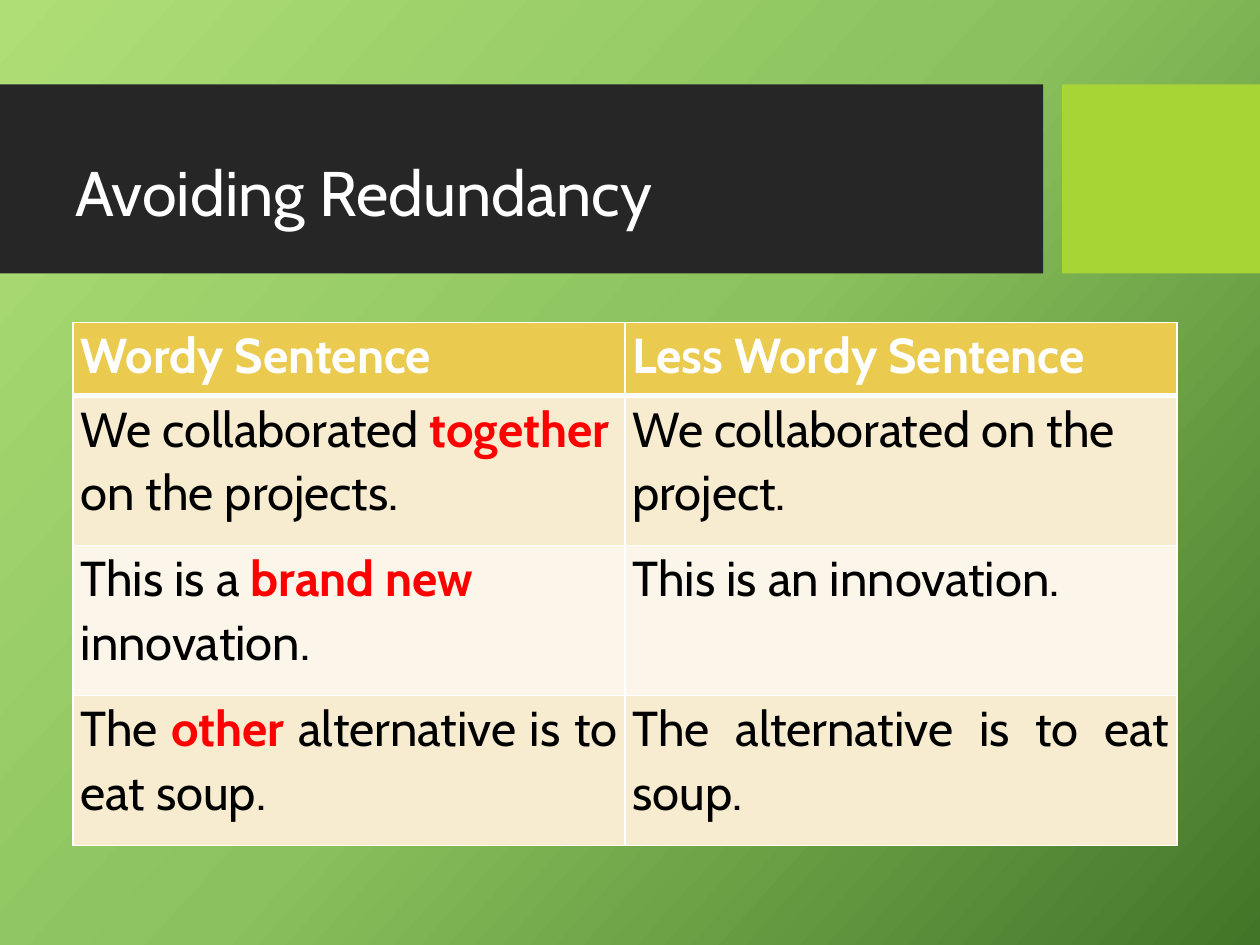
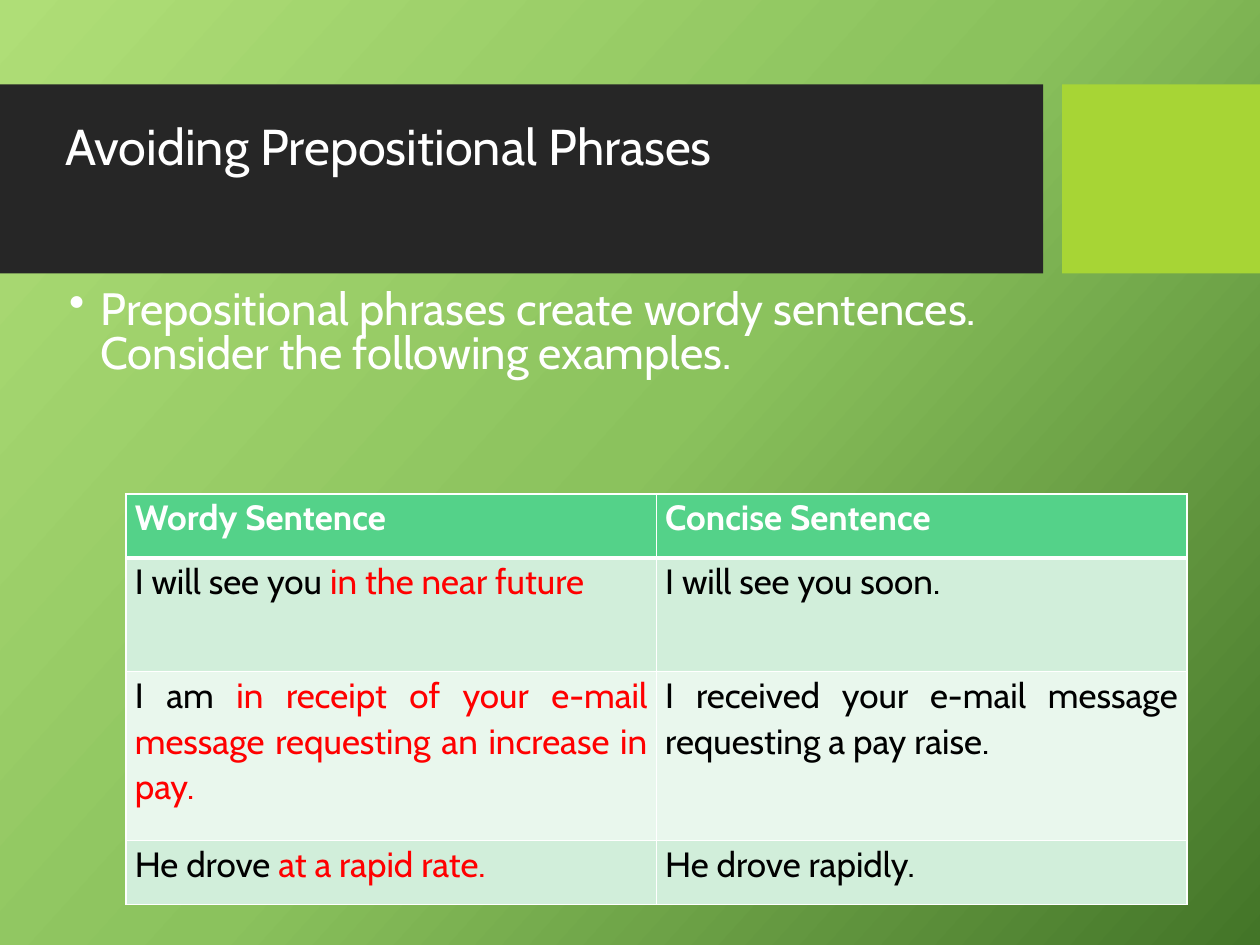
import pptx
import pptx.dml.color
import pptx.enum.shapes
import pptx.enum.text
import pptx.oxml
import pptx.oxml.ns
import pptx.util

RGBColor = pptx.dml.color.RGBColor
Inches = pptx.util.Inches
Pt = pptx.util.Pt
ALIGN = pptx.enum.text.PP_ALIGN
ANCHOR = pptx.enum.text.MSO_ANCHOR
qn = pptx.oxml.ns.qn

WIDTH, HEIGHT = 10, 7.5
FONT = "Cabin"
WHITE = RGBColor(0xFF, 0xFF, 0xFF)
BLACK = RGBColor(0, 0, 0)
RED = RGBColor(0xFF, 0, 0)
CHARCOAL = RGBColor(0x26, 0x26, 0x26)
LIME = RGBColor(0xA7, 0xD5, 0x35)
GOLD = RGBColor(0xEA, 0xCA, 0x4F)
SAND = RGBColor(0xF7, 0xEC, 0xD0)
CREAM = RGBColor(0xFB, 0xF6, 0xE9)
GREEN = RGBColor(0x54, 0xD2, 0x89)
MINT = RGBColor(0xD1, 0xEE, 0xDA)
PALE_MINT = RGBColor(0xE9, 0xF7, 0xED)
BACKDROP = [(0, RGBColor(0xAF, 0xDE, 0x77)), (50, RGBColor(0x8B, 0xC2, 0x5D)),
            (100, RGBColor(0x43, 0x75, 0x28))]
BACKDROP_ANGLE = 42

BAND_TOP, BAND_HEIGHT = 0.67, 1.5
BANDS = [(0, 8.28, CHARCOAL), (8.43, WIDTH - 8.43, LIME)]

# Asterisks enclose the wordy part; a newline starts a paragraph.
SLIDES = [
    {
        "title": "Avoiding Redundancy",
        "title_at": (0.5, 1.17, 9, 0.78),
        "title_size": 36,
        "title_anchor": ANCHOR.MIDDLE,
        "table": {
            "left": 0.58, "top": 2.56, "column": 4.38,
            "rows": [0.58, 1.19, 1.19, 1.19],
            "size": 28, "inset": 0.06, "bold_wordy": True,
            "fills": (GOLD, SAND, CREAM),
            "left_aligned": [(1, 0)],
            "cells": [
                ("Wordy Sentence", "Less Wordy Sentence"),
                ("We collaborated *together *on the projects.",
                 "We collaborated on the\nproject."),
                ("This is a *brand new*\ninnovation.", "This is an innovation."),
                ("The *other *alternative is to eat soup.",
                 "The alternative is to eat soup."),
            ],
        },
    },
    {
        "title": "Avoiding Prepositional Phrases",
        "title_at": (0.42, 0.97, 9, 0.78),
        "title_size": 28.8,
        "title_anchor": ANCHOR.TOP,
        "bullet": "Prepositional phrases create wordy sentences. "
                  "Consider the following examples.",
        "table": {
            "left": 1, "top": 3.92, "column": 4.21,
            "rows": [0.51, 0.9, 1.34, 0.51],
            "size": 20, "inset": 0.07, "bold_wordy": False,
            "fills": (GREEN, MINT, PALE_MINT),
            "left_aligned": [],
            "cells": [
                ("Wordy Sentence", "Concise Sentence"),
                ("I will see you *in the near future*", "I will see you soon."),
                ("I am *in receipt of your e-mail message requesting "
                 "an increase in pay.*",
                 "I received your e-mail message requesting a pay raise."),
                ("He drove *at a rapid rate.*", "He drove rapidly."),
            ],
        },
    },
]
BULLET_AT, BULLET_SIZE, BULLET_INDENT = (0.45, 2.26, 7.53, 1.19), 25.9, 0.25


def paint_backdrop(page):
    page.background.fill.gradient()
    page.background.fill.gradient_angle = 360 - BACKDROP_ANGLE
    stops = next(page._element.iter(qn("a:gsLst")))
    for stop in list(stops):
        stops.remove(stop)
    for share, color in BACKDROP:
        stop = pptx.oxml.ns.qn("a:gs")
        stop = stops.makeelement(stop, {"pos": str(share * 1000)})
        stop.append(stop.makeelement(qn("a:srgbClr"), {"val": str(color)}))
        stops.append(stop)


def add_bands(page):
    for left, width, color in BANDS:
        band = page.shapes.add_shape(
            pptx.enum.shapes.MSO_SHAPE.RECTANGLE,
            *map(Inches, (left, BAND_TOP, width, BAND_HEIGHT)))
        band.shadow.inherit = False
        band.fill.solid()
        band.fill.fore_color.rgb = color
        band.line.fill.background()


def add_span(para, text, size, color, bold=False):
    span = para.add_run()
    span.text = text
    span.font.name = FONT
    span.font.size = Pt(size)
    span.font.bold = bold
    span.font.color.rgb = color


def add_text(page, text, at, size, spacing, anchor):
    box = page.shapes.add_textbox(*map(Inches, at))
    frame = box.text_frame
    frame.word_wrap = True
    frame.vertical_anchor = anchor
    para = frame.paragraphs[0]
    para.line_spacing = spacing
    add_span(para, text, size, WHITE)
    return box


def add_bullet(page, text):
    box = add_text(page, text, BULLET_AT, BULLET_SIZE, 0.8, ANCHOR.TOP)
    props = box.text_frame.paragraphs[0]._p.get_or_add_pPr()
    indent = Inches(BULLET_INDENT)
    props.set("marL", str(indent))
    props.set("indent", str(-indent))
    props.append(props.makeelement(qn("a:buChar"), {"char": "•"}))


def set_borders(cell, header):
    props = cell._tc.get_or_add_tcPr()
    widths = {"lnL": 1, "lnR": 1, "lnT": 1, "lnB": 3 if header else 1}
    for place, (side, width) in enumerate(widths.items()):
        props.insert(place, pptx.oxml.parse_xml(
            f'<a:{side} {pptx.oxml.ns.nsdecls("a")} w="{Pt(width)}"><a:solidFill>'
            f'<a:srgbClr val="{WHITE}"/></a:solidFill></a:{side}>'))


def fill_cell(cell, text, table, row, align):
    header = row == 0
    cell.margin_left = cell.margin_right = Inches(table["inset"])
    cell.margin_top = cell.margin_bottom = 0
    cell.fill.solid()
    cell.fill.fore_color.rgb = table["fills"][0 if header else 2 - row % 2]
    set_borders(cell, header)
    for number, line in enumerate(text.split("\n")):
        frame = cell.text_frame
        para = frame.add_paragraph() if number else frame.paragraphs[0]
        para.alignment = align
        para.line_spacing = 1.07
        for part, words in enumerate(line.split("*")):
            wordy = part % 2 == 1
            color = WHITE if header else RED if wordy else BLACK
            if words:
                add_span(para, words, table["size"], color,
                         header or wordy and table["bold_wordy"])


def add_sentences(page, table):
    cells, heights = table["cells"], table["rows"]
    columns = len(cells[0])
    grid = page.shapes.add_table(
        len(cells), columns, Inches(table["left"]), Inches(table["top"]),
        Inches(table["column"] * columns), Inches(sum(heights))).table
    for column in grid.columns:
        column.width = Inches(table["column"])
    for row, texts in enumerate(cells):
        grid.rows[row].height = Inches(heights[row])
        for column, text in enumerate(texts):
            left = (row, column) in table["left_aligned"]
            fill_cell(grid.cell(row, column), text, table, row,
                      ALIGN.LEFT if left else ALIGN.JUSTIFY)


def main():
    deck = pptx.Presentation()
    deck.slide_width, deck.slide_height = Inches(WIDTH), Inches(HEIGHT)
    for content in SLIDES:
        page = deck.slides.add_slide(deck.slide_layouts[6])
        paint_backdrop(page)
        add_bands(page)
        title = add_text(page, content["title"], content["title_at"],
                         content["title_size"], 0.9, content["title_anchor"])
        title.text_frame.margin_top = title.text_frame.margin_bottom = 0
        if "bullet" in content:
            add_bullet(page, content["bullet"])
        add_sentences(page, content["table"])
    deck.save("out.pptx")


if __name__ == "__main__":
    main()
